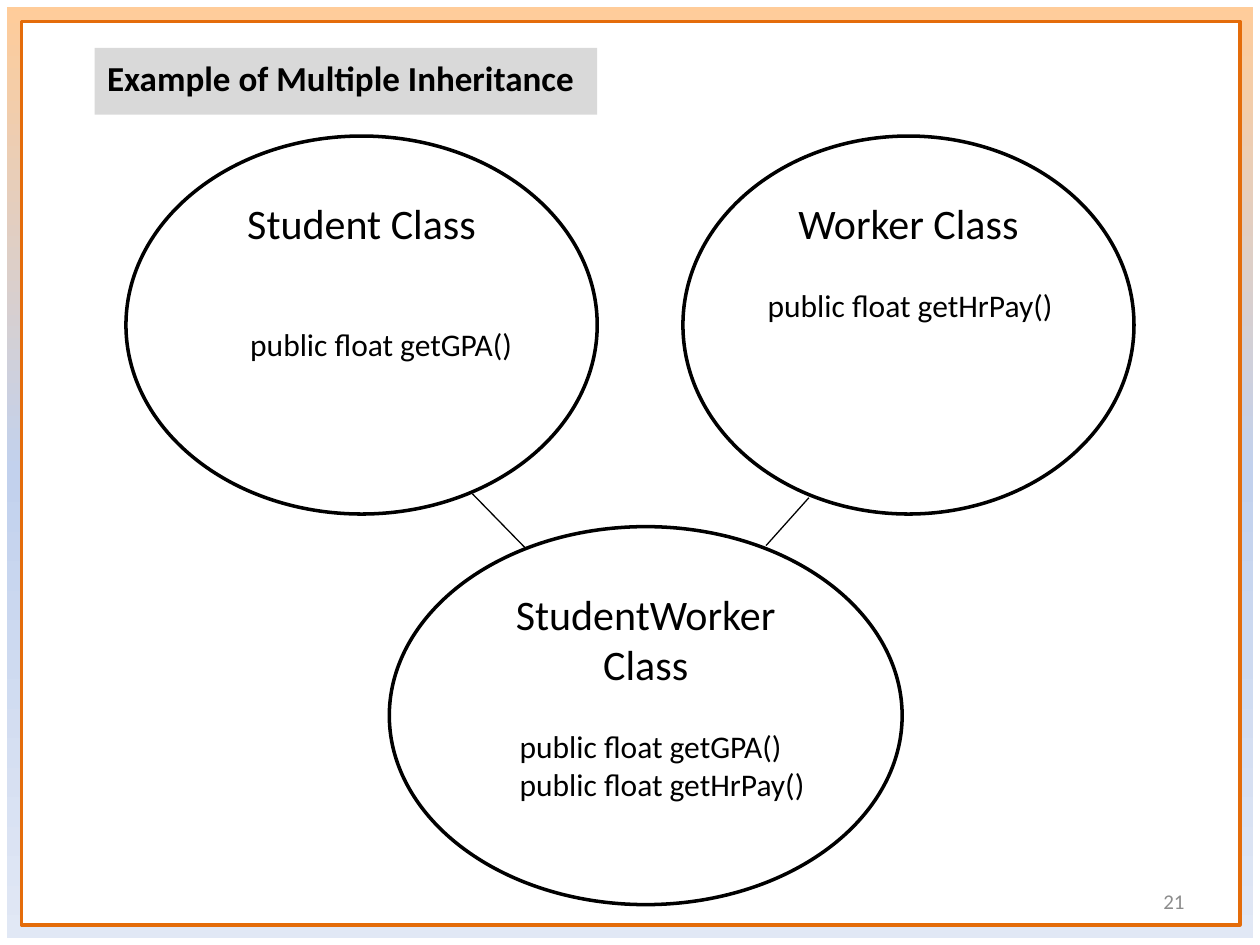
from lxml.etree import SubElement
from pptx import Presentation
from pptx.dml.color import RGBColor
from pptx.enum.shapes import MSO_CONNECTOR, MSO_SHAPE
from pptx.enum.text import MSO_ANCHOR, MSO_AUTO_SIZE, PP_ALIGN
from pptx.oxml import parse_xml
from pptx.oxml.ns import nsdecls, qn
from pptx.util import Inches, Pt

COLORS = {
    "top": "FFCC99", "middle": "C2D1ED", "bottom": "E1E8F5",
    "white": "FFFFFF", "black": "000000", "border": "E46C0A",
    "title_fill": "D9D9D9", "number": "8C8C8C",
}
FONT = "Calibri"
PANEL = (0.17, 0.17, 9.67, 7.17)
GET_GPA = "public float getGPA()"
GET_PAY = "public float getHrPay()"

# box, heading lines, methods, gap before the methods (points), indent of the methods
CLASSES = [
    ((1, 1.08, 3.74, 3), ["Student Class"], [GET_GPA], 44, 0.34),
    ((5.42, 1.08, 3.58, 3), ["Worker Class"], [GET_PAY], 22, 0.05),
    ((3.09, 4.18, 4.07, 3), ["StudentWorker", "Class"], [GET_GPA, GET_PAY], 22, 0.34),
]
LINKS = [((3.75, 3.92), (4.17, 4.35)), ((6.42, 3.95), (6.08, 4.33))]


def rgb(name):
    return RGBColor.from_string(COLORS[name])


def inches(values):
    return [Inches(v) for v in values]


def set_font(p, size, color="black", bold=False):
    p.font.name = FONT
    p.font.size = Pt(size)
    p.font.bold = bold
    p.font.color.rgb = rgb(color)


def add_outline(slide, kind, box, line=None, width=0, fill=None):
    sp = slide.shapes.add_shape(kind, *inches(box))
    sp.shadow.inherit = False
    if fill:
        sp.fill.solid()
        sp.fill.fore_color.rgb = rgb(fill)
    else:
        sp.fill.background()
    if line:
        sp.line.color.rgb = rgb(line)
        sp.line.width = Pt(width)
    else:
        sp.line.fill.background()
    return sp


def set_background(slide):
    """Vertical gradient with three stops."""
    fill = slide.background.fill
    fill.gradient()
    fill.gradient_angle = 270
    stops = "".join(
        f'<a:gs pos="{pos}"><a:srgbClr val="{COLORS[name]}"/></a:gs>'
        for pos, name in [(0, "top"), (50000, "middle"), (100000, "bottom")]
    )
    gs_lst = parse_xml(f'<a:gsLst {nsdecls("a")}>{stops}</a:gsLst>')
    old = next(slide.background._cSld.iter(qn("a:gsLst")))
    old.getparent().replace(old, gs_lst)


def add_title(slide, box, text):
    sp = slide.shapes.title
    slide.shapes._spTree.append(sp._element)  # bring in front of the panel
    sp.left, sp.top, sp.width, sp.height = inches(box)
    sp.fill.solid()
    sp.fill.fore_color.rgb = rgb("title_fill")
    tf = sp.text_frame
    tf.text = text
    tf.auto_size = MSO_AUTO_SIZE.NONE
    tf.vertical_anchor = MSO_ANCHOR.TOP
    p = tf.paragraphs[0]
    p.alignment = PP_ALIGN.LEFT
    p.line_spacing = 1.06
    set_font(p, 20, bold=True)


def add_class(slide, box, heading, methods, gap, indent):
    """Ellipse with a centred class name and its methods below."""
    sp = add_outline(slide, MSO_SHAPE.OVAL, box, "black", 2)
    tf = sp.text_frame
    tf.word_wrap = True
    tf.vertical_anchor = MSO_ANCHOR.TOP
    for i, text in enumerate(heading + methods):
        p = tf.add_paragraph() if i else tf.paragraphs[0]
        p.text = text
        if i < len(heading):
            p.alignment = PP_ALIGN.CENTER
            set_font(p, 24)
        else:
            p.alignment = PP_ALIGN.LEFT
            p._p.get_or_add_pPr().set("marL", str(Inches(indent)))
            if i == len(heading):
                p.space_before = Pt(gap)
            set_font(p, 18)


def add_link(slide, start, end):
    line = slide.shapes.add_connector(MSO_CONNECTOR.STRAIGHT, *inches(start + end))
    line.line.color.rgb = rgb("black")
    line.line.width = Pt(0.75)
    SubElement(line._element.spPr, qn("a:effectLst"))


def add_slide_number(slide, box, number):
    tf = slide.shapes.add_textbox(*inches(box)).text_frame
    tf.word_wrap = True
    tf.vertical_anchor = MSO_ANCHOR.MIDDLE
    p = tf.paragraphs[0]
    p.text = number
    p.alignment = PP_ALIGN.RIGHT
    set_font(p, 12, "number")


def main():
    prs = Presentation()
    prs.slide_width, prs.slide_height = Inches(10), Inches(7.5)
    slide = prs.slides.add_slide(prs.slide_layouts[5])
    set_background(slide)
    add_outline(slide, MSO_SHAPE.RECTANGLE, (0, 0, 10, 7.5), "white", 7.5)
    add_outline(slide, MSO_SHAPE.RECTANGLE, PANEL, fill="white")
    add_slide_number(slide, (7.17, 6.95, 2.33, 0.4), "21")
    add_title(slide, (0.75, 0.38, 3.99, 0.53), "Example of Multiple Inheritance")
    for spec_row in CLASSES:
        add_class(slide, *spec_row)
    for start, end in LINKS:
        add_link(slide, start, end)
    add_outline(slide, MSO_SHAPE.RECTANGLE, PANEL, "border", 2)
    prs.save("out.pptx")


if __name__ == "__main__":
    main()
